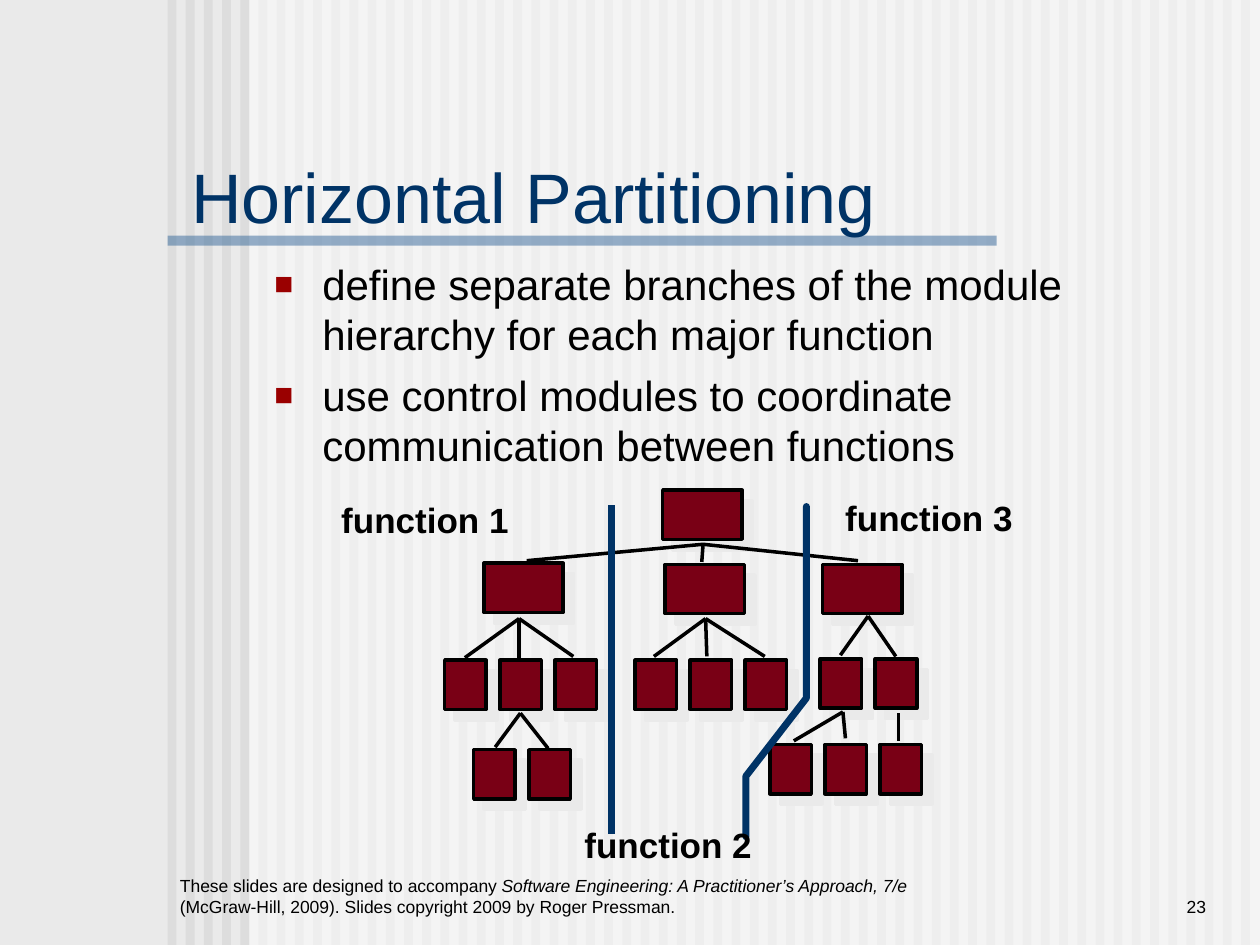
"""Build the Horizontal Partitioning slide with its module hierarchy."""
from dataclasses import dataclass

from lxml.etree import SubElement
from pptx import Presentation
from pptx.dml.color import RGBColor
from pptx.enum.shapes import MSO_CONNECTOR, MSO_SHAPE
from pptx.enum.text import MSO_ANCHOR, MSO_AUTO_SIZE, PP_ALIGN
from pptx.oxml.ns import qn
from pptx.util import Inches, Pt


@dataclass(frozen=True)
class Theme:
    """Colours and type sizes of the slide."""
    font: str = "Arial"
    background: str = "EAEAEA"
    stripe: str = "DDDDDD"
    veil: str = "FFFFFF"
    rule: str = "336699"
    accent: str = "003366"
    text: str = "000000"
    bullet: str = "9A0000"
    module: str = "790015"
    shadow: str = "EAEAEA"
    title_size: int = 40
    body_size: int = 24
    label_size: int = 20
    footer_size: int = 10
    thin: int = 2
    thick: int = 4


THEME = Theme()
WIDTH, HEIGHT = Inches(10), Inches(7.5)
COLUMNS, ROWS = 100, 75

STRIPE_COUNT, FIRST_STRIPE, LAST_STRIPE = 60, 13.3, 98.5
MODULE_HEIGHT, MANAGER_WIDTH, WORKER_WIDTH, WORKER_PITCH = 3.9, 6.3, 3.3, 4.37
MANAGERS = [(52.6, 38.9), (38.4, 44.7), (52.8, 44.8), (65.3, 44.8)]
WORKER_ROWS = [(35.3, 52.4, 3), (50.4, 52.4, 3), (65.1, 52.3, 2),
               (61.1, 59.1, 3), (37.6, 59.5, 2)]
FANS = [
    ((55.8, 43.2), [(41.8, 44.5), (55.7, 44.6), (68.1, 44.5)]),
    ((41.2, 49.1), [(36.9, 52.2), (41.2, 52.2), (45.5, 52.1)]),
    ((56, 49.1), [(51.9, 52.1), (56.1, 52.1), (60.7, 52.1)]),
    ((68.9, 48.9), [(66.7, 52), (71.1, 52.1)]),
    ((66.9, 56.5), [(63, 58.8), (67.1, 58.6)]),
    ((71.3, 56.6), [(71.3, 58.8)]),
    ((41.3, 56.6), [(39.3, 59.3), (43.5, 59.4)]),
]
LEFT_DIVIDER = [(48.5, 40.1), (48.5, 66.2)]
RIGHT_DIVIDER = [(64, 40.2), (64, 55.4), (59.2, 61.6), (59.2, 66.4)]
LABELS = [("function 1", 26.1, 39.1), ("function 3", 66.1, 38.9),
          ("function 2", 45.4, 64.9)]
BULLETS = ["define separate branches of the module hierarchy for each major function",
           "use control modules to coordinate communication between functions"]
FOOTER = [("These slides are designed to accompany ", False),
          ("Software Engineering: A Practitioner’s Approach, 7/e ", True),
          ("(McGraw-Hill, 2009). Slides copyright 2009 by Roger Pressman.", False)]


def across(columns):
    """Turn grid columns into a length."""
    return round(WIDTH * columns / COLUMNS)


def down(rows):
    """Turn grid rows into a length."""
    return round(HEIGHT * rows / ROWS)


def place(left, top, width, height):
    """Turn a grid area into lengths."""
    return across(left), down(top), across(width), down(height)


def color(name):
    """Turn a hexadecimal name into a colour."""
    return RGBColor.from_string(name)


def add_block(slide, area, fill, alpha=None):
    """Add a plain rectangle, partly transparent if alpha is given."""
    shape = slide.shapes.add_shape(MSO_SHAPE.RECTANGLE, *place(*area))
    shape.shadow.inherit = False
    shape.fill.solid()
    shape.fill.fore_color.rgb = color(fill)
    shape.line.fill.background()
    if alpha is not None:
        tint = shape._element.spPr.find(".//" + qn("a:srgbClr"))
        SubElement(tint, qn("a:alpha"), val=str(alpha * 1000))
    return shape


def style_line(shape, name, width):
    """Give a shape or connector a solid line."""
    shape.line.color.rgb = color(name)
    shape.line.width = Pt(width)


def add_module(slide, left, top, width):
    """Add an outlined module box with a hard offset shadow."""
    shape = add_block(slide, (left, top, width, MODULE_HEIGHT), THEME.module)
    style_line(shape, THEME.text, THEME.thin)
    effects = shape._element.spPr.find(qn("a:effectLst"))
    shadow = SubElement(effects, qn("a:outerShdw"), dist=str(Pt(8.5)),
                        dir="2700000", algn="ctr", rotWithShape="0")
    SubElement(shadow, qn("a:srgbClr"), val=THEME.shadow)


def add_line(slide, start, end, name, width):
    """Add a straight connector between two grid points."""
    connector = slide.shapes.add_connector(
        MSO_CONNECTOR.STRAIGHT, across(start[0]), down(start[1]), across(end[0]), down(end[1]))
    style_line(connector, name, width)
    SubElement(connector._element.spPr, qn("a:effectLst"))


def add_bent_line(slide, points, name, width):
    """Add an open outline through grid points."""
    start, *others = [(across(x), down(y)) for x, y in points]
    builder = slide.shapes.build_freeform(*start)
    builder.add_line_segments(others, close=False)
    shape = builder.convert_to_shape()
    shape.shadow.inherit = False
    shape.fill.background()
    style_line(shape, name, width)
    shape.line._get_or_add_ln().set("cap", "rnd")


def add_text(slide, area, runs, size, name=THEME.text, anchor=MSO_ANCHOR.TOP,
             align=PP_ALIGN.LEFT, bold=False, wrap=True):
    """Add a one-paragraph text box from pairs of text and italic."""
    box = slide.shapes.add_textbox(*place(*area))
    frame = box.text_frame
    frame.word_wrap = wrap
    frame.auto_size = MSO_AUTO_SIZE.NONE if wrap else MSO_AUTO_SIZE.SHAPE_TO_FIT_TEXT
    frame.vertical_anchor = anchor
    paragraph = frame.paragraphs[0]
    paragraph.alignment = align
    style_text(paragraph, size, name, bold)
    for text, italic in runs:
        run = paragraph.add_run()
        run.text = text
        if italic:
            run.font.italic = True


def style_text(paragraph, size, name, bold=False):
    """Set the font of a whole paragraph."""
    font = paragraph.font
    font.name, font.size, font.bold = THEME.font, Pt(size), bold
    font.color.rgb = color(name)


def add_bullets(slide, area, texts):
    """Add a list with square bullets."""
    frame = slide.shapes.add_textbox(*place(*area)).text_frame
    frame.word_wrap = True
    for index, text in enumerate(texts):
        paragraph = frame.add_paragraph() if index else frame.paragraphs[0]
        paragraph.text = text
        paragraph.space_before = Pt(6 if index else 0)
        properties = paragraph._p.get_or_add_pPr()
        properties.set("marL", str(Inches(0.38)))
        properties.set("indent", str(-Inches(0.38)))
        SubElement(SubElement(properties, qn("a:buClr")), qn("a:srgbClr"), val=THEME.bullet)
        SubElement(properties, qn("a:buSzPct"), val="75000")
        SubElement(properties, qn("a:buFont"), typeface=THEME.font)
        SubElement(properties, qn("a:buChar"), char="■")
        style_text(paragraph, THEME.body_size, THEME.text)


def add_backdrop(slide):
    """Add the striped background and the title rule."""
    slide.background.fill.solid()
    slide.background.fill.fore_color.rgb = color(THEME.background)
    pitch = (LAST_STRIPE - FIRST_STRIPE) / (STRIPE_COUNT - 1)
    for index in range(STRIPE_COUNT):
        add_block(slide, (FIRST_STRIPE + index * pitch, 0, 0.7, ROWS), THEME.stripe)
    add_block(slide, (19.8, 0, 80.2, ROWS), THEME.veil, 50)
    add_block(slide, (FIRST_STRIPE, 18.7, 65.8, 0.8), THEME.rule, 50)


def add_hierarchy(slide):
    """Add the modules, their links, the dividers and the labels."""
    for left, top in MANAGERS:
        add_module(slide, left, top, MANAGER_WIDTH)
    for left, top, count in WORKER_ROWS:
        for index in range(count):
            add_module(slide, left + index * WORKER_PITCH, top, WORKER_WIDTH)
    for start, ends in FANS:
        for end in ends:
            add_line(slide, start, end, THEME.text, THEME.thin)
    add_line(slide, *LEFT_DIVIDER, THEME.accent, THEME.thick)
    add_bent_line(slide, RIGHT_DIVIDER, THEME.accent, THEME.thick)
    for text, left, top in LABELS:
        add_text(slide, (left, top, 15.3, 4.3), [(text, False)], THEME.label_size,
                 bold=True, wrap=False)


def main():
    """Build and save the presentation."""
    presentation = Presentation()
    presentation.slide_width, presentation.slide_height = WIDTH, HEIGHT
    slide = presentation.slides.add_slide(presentation.slide_layouts[6])
    add_backdrop(slide)
    add_text(slide, (13.3, 68.3, 60, 5), FOOTER, THEME.footer_size, anchor=MSO_ANCHOR.BOTTOM)
    add_text(slide, (82.5, 68.3, 14.2, 5), [("23", False)], THEME.footer_size,
             anchor=MSO_ANCHOR.BOTTOM, align=PP_ALIGN.RIGHT)
    add_text(slide, (14.2, 12.5, 59.1, 6), [("Horizontal Partitioning", False)],
             THEME.title_size, THEME.accent, MSO_ANCHOR.MIDDLE)
    add_bullets(slide, (20.8, 20, 75.6, 25.8), BULLETS)
    add_hierarchy(slide)
    presentation.save("out.pptx")


if __name__ == "__main__":
    main()
